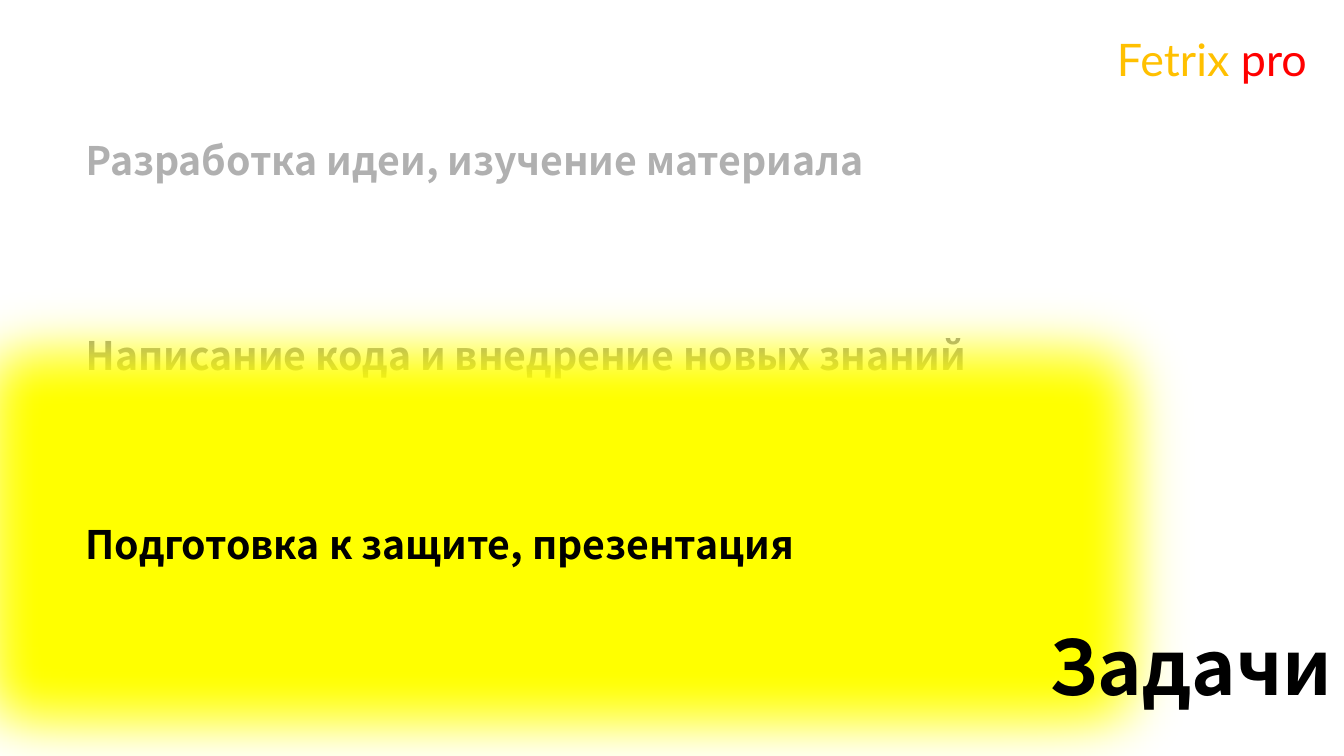
import pptx
import pptx.util
import pptx.dml.color
import pptx.enum.shapes
import pptx.oxml
import pptx.oxml.ns
from dataclasses import dataclass

Inches = pptx.util.Inches


@dataclass(frozen=True)
class Theme:
    white: str = "FFFFFF"
    yellow: str = "FFFF00"
    black: str = "000000"
    gold: str = "FFC000"
    red: str = "FF0000"
    body_font: str = "Noto Sans CJK TC"
    brand_font: str = "Lato"
    task_size: int = 28
    title_size: int = 54
    brand_size: int = 32
    soft_edge: int = 50


THEME = Theme()
RECTANGLE = pptx.enum.shapes.MSO_SHAPE.RECTANGLE


def rgb(value):
    return pptx.dml.color.RGBColor.from_string(value)


def add_child(parent, tag, **values):
    """Append a drawing element with the given attributes."""
    child = pptx.oxml.parse_xml(f"<a:{tag} {pptx.oxml.ns.nsdecls('a')}/>")
    for name, value in values.items():
        child.set(name, str(value))
    parent.append(child)
    return child


def add_panel(page, box, fill, line=None):
    panel = page.shapes.add_shape(RECTANGLE, *map(Inches, box))
    panel.shadow.inherit = False
    panel.fill.solid()
    panel.fill.fore_color.rgb = rgb(fill)
    if line:
        panel.line.color.rgb = rgb(line)
        panel.line.width = pptx.util.Pt(0.75)
    else:
        panel.line.fill.background()
    return panel


def write(shape, spans, size, font, bold=False, opacity=100, wrap=True):
    """Write one left-aligned line made of (text, colour) spans."""
    frame = shape.text_frame
    frame.word_wrap = wrap
    frame.vertical_anchor = pptx.enum.text.MSO_ANCHOR.TOP
    para = frame.paragraphs[0]
    para.alignment = pptx.enum.text.PP_ALIGN.LEFT
    for text, colour in spans:
        span = para.add_run()
        span.text = text
        formats = {"size": pptx.util.Pt(size), "name": font, "bold": bold}
        for name, value in formats.items():
            setattr(span.font, name, value)
        span.font.color.rgb = rgb(colour)
        properties = span.font._element
        if opacity < 100:
            fill = properties.find(pptx.oxml.ns.qn("a:solidFill"))
            add_child(fill[0], "alpha", val=opacity * 1000)
        add_child(properties, "ea", typeface=font)


def add_task(page, box, text, opacity=100, fill=None, line=None):
    if fill:
        shape = add_panel(page, box, fill, line)
    else:
        shape = page.shapes.add_textbox(*map(Inches, box))
    write(shape, [(text, THEME.black)], THEME.task_size, THEME.body_font,
          bold=True, opacity=opacity)


def add_glow(page, box):
    """Yellow field whose edges fade out."""
    glow = add_panel(page, box, THEME.yellow)
    effects = glow._element.spPr.find(pptx.oxml.ns.qn("a:effectLst"))
    add_child(effects, "softEdge", rad=pptx.util.Pt(THEME.soft_edge))


def add_tasks(page, box):
    left, top, width, height = box
    # Finished tasks are faded, the second lies under the glow
    add_task(page, (left, top, width, height),
             "Разработка идеи, изучение материала", 31,
             THEME.white, THEME.white)
    add_task(page, (left, top + 1.94, width, height),
             "Написание кода и внедрение новых знаний", 41)
    add_glow(page, (left - 1.75, top + 1.3, width + 4.1, 5.45))
    # Current task
    add_task(page, (left, top + 3.81, width, height),
             "Подготовка к защите, презентация", fill=THEME.yellow)


def add_line(page, box, spans, size, font, bold=False):
    shape = page.shapes.add_textbox(*map(Inches, box))
    write(shape, spans, size, font, bold, wrap=False)


def main():
    deck = pptx.Presentation()
    deck.slide_width, deck.slide_height = Inches(13.33), Inches(7.5)
    page = deck.slides.add_slide(deck.slide_layouts[6])

    add_tasks(page, (0.75, 1.3, 9.02, 0.57))
    # Slide title
    add_line(page, (10.31, 6.1, 3.02, 1.01), [("Задачи", THEME.black)],
             THEME.title_size, THEME.body_font, bold=True)
    # Project name
    add_line(page, (10.98, 0.27, 2.35, 0.64),
             [("Fetrix ", THEME.gold), ("pro", THEME.red)],
             THEME.brand_size, THEME.brand_font)

    deck.save("out.pptx")


if __name__ == "__main__":
    main()
